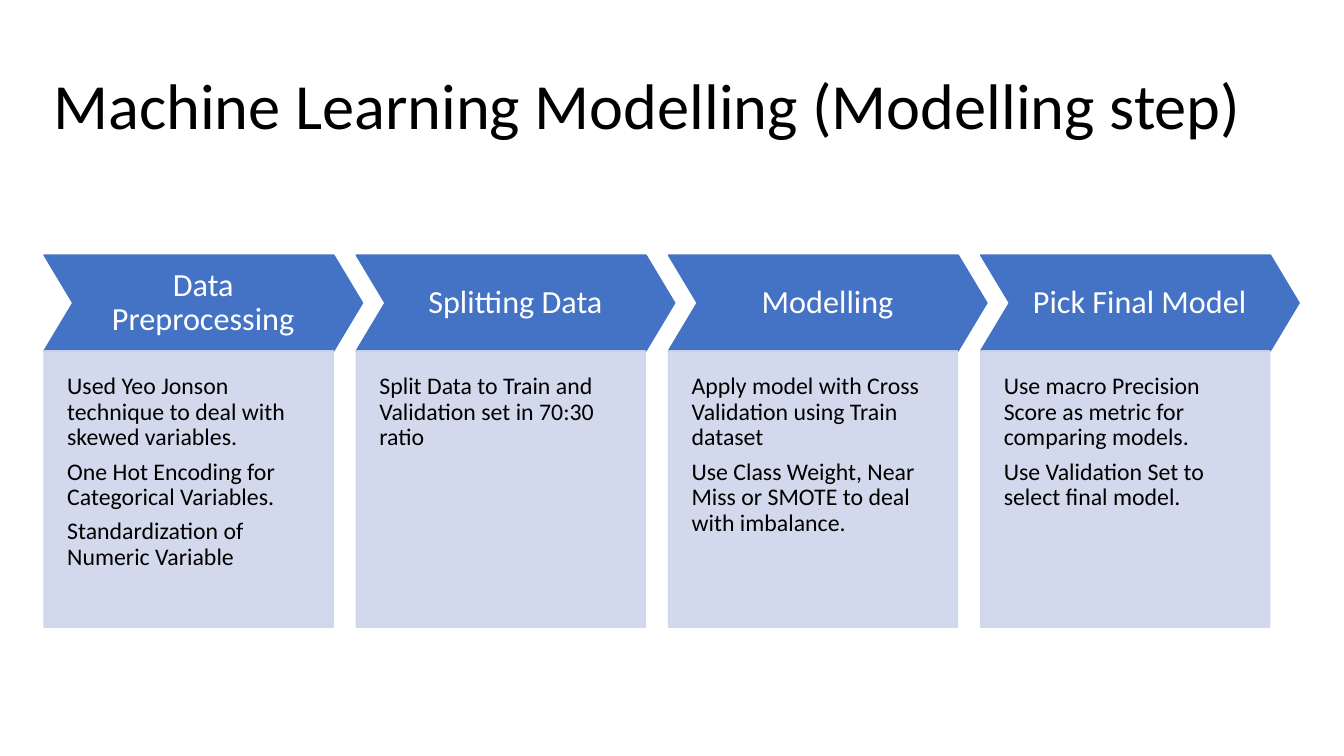
from lxml import etree
from pptx import Presentation
from pptx.dml.color import RGBColor
from pptx.enum.shapes import MSO_SHAPE
from pptx.enum.text import MSO_ANCHOR, PP_ALIGN
from pptx.oxml.ns import qn
from pptx.util import Pt

CHEVRON, RECTANGLE = MSO_SHAPE.CHEVRON, MSO_SHAPE.RECTANGLE
TOP, MIDDLE = MSO_ANCHOR.TOP, MSO_ANCHOR.MIDDLE
LEFT, CENTER = PP_ALIGN.LEFT, PP_ALIGN.CENTER

BLACK = RGBColor(0x00, 0x00, 0x00)
WHITE = RGBColor(0xFF, 0xFF, 0xFF)
BLUE = RGBColor(0x44, 0x72, 0xC4)
PALE_BLUE = RGBColor(0xCF, 0xD5, 0xEA)

FONT = "Calibri"
TITLE = "Machine Learning Modelling (Modelling step)"
STEPS = [
    ("Data Preprocessing", [
        "Used Yeo Jonson technique to deal with skewed variables.",
        "One Hot Encoding for Categorical Variables.",
        "Standardization of Numeric Variable",
    ]),
    ("Splitting Data", [
        "Split Data to Train and Validation set in 70:30 ratio",
    ]),
    ("Modelling", [
        "Apply model with Cross Validation using Train dataset",
        "Use Class Weight, Near Miss or SMOTE to deal with imbalance.",
    ]),
    ("Pick Final Model", [
        "Use macro Precision Score as metric for comparing models.",
        "Use Validation Set to select final model.",
    ]),
]


def write_text(shape, lines, size, color, alignment, anchor, inset):
    """Fill a shape with one paragraph per line; inset is (horizontal, vertical)."""
    text_frame = shape.text_frame
    text_frame.word_wrap = True
    text_frame.vertical_anchor = anchor
    text_frame.margin_left = text_frame.margin_right = Pt(inset[0])
    text_frame.margin_top = text_frame.margin_bottom = Pt(inset[1])
    text_frame.text = "\n".join(lines)
    for paragraph in text_frame.paragraphs:
        paragraph.alignment = alignment
        paragraph.line_spacing = 0.9
        paragraph.space_after = Pt(round(size * 0.35))
        font = paragraph.runs[0].font
        font.name = FONT
        font.size = Pt(size)
        font.color.rgb = color


def add_block(slide, kind, box, color):
    """Add a preset shape whose fill and outline share one colour."""
    shape = slide.shapes.add_shape(kind, *map(Pt, box))
    shape.shadow.inherit = False
    shape.fill.solid()
    shape.fill.fore_color.rgb = color
    shape.line.color.rgb = color
    shape.line.width = Pt(1)
    return shape


def set_opacity(shape, percent):
    """Make fill and outline partly transparent."""
    for color in shape.element.spPr.iter(qn("a:srgbClr")):
        etree.SubElement(color, qn("a:alpha"), val=str(percent * 1000))


def add_title(slide, box):
    title = slide.shapes.add_textbox(*map(Pt, box))
    write_text(title, [TITLE], 46, BLACK, LEFT, MIDDLE, (7.2, 3.6))


def add_step(slide, box, heading, details):
    """Place a chevron heading above its panel of details."""
    left, top, width, height = box
    heading_height = 68.4
    chevron_tip = 21

    # Heading
    chevron = add_block(slide, CHEVRON, (left, top, width, heading_height), BLUE)
    chevron.adjustments[0] = 0.3
    write_text(chevron, [heading], 23, WHITE, CENTER, MIDDLE, (8.5, 8.5))

    # Details
    panel_box = (left, top + heading_height, width - chevron_tip, height - heading_height)
    panel = add_block(slide, RECTANGLE, panel_box, PALE_BLUE)
    set_opacity(panel, 90)
    write_text(panel, details, 17, BLACK, LEFT, TOP, (16.5, 16.5))


def add_process(slide, box):
    """Spread the steps evenly over the box."""
    left, top, width, height = box
    step_width = 227.5
    pitch = (width - step_width) / (len(STEPS) - 1)
    for index, (heading, details) in enumerate(STEPS):
        step_box = (left + index * pitch, top, step_width, height)
        add_step(slide, step_box, heading, details)


def main():
    presentation = Presentation()
    presentation.slide_width = Pt(960)
    presentation.slide_height = Pt(540)
    slide = presentation.slides.add_slide(presentation.slide_layouts[6])
    add_title(slide, (31, 25, 898.5, 104.5))
    add_process(slide, (31.5, 182.2, 896.5, 265.8))
    presentation.save("out.pptx")


if __name__ == "__main__":
    main()
